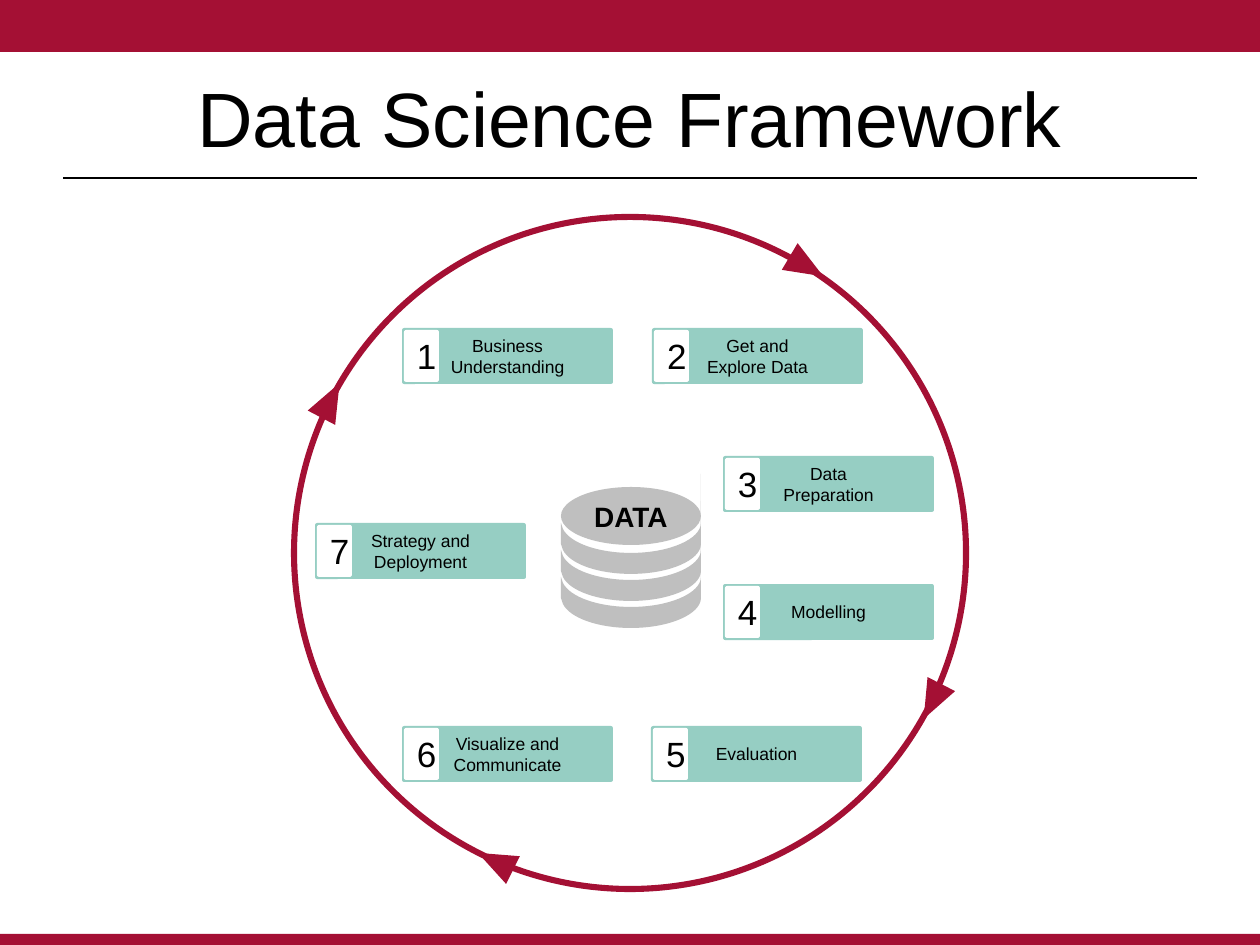
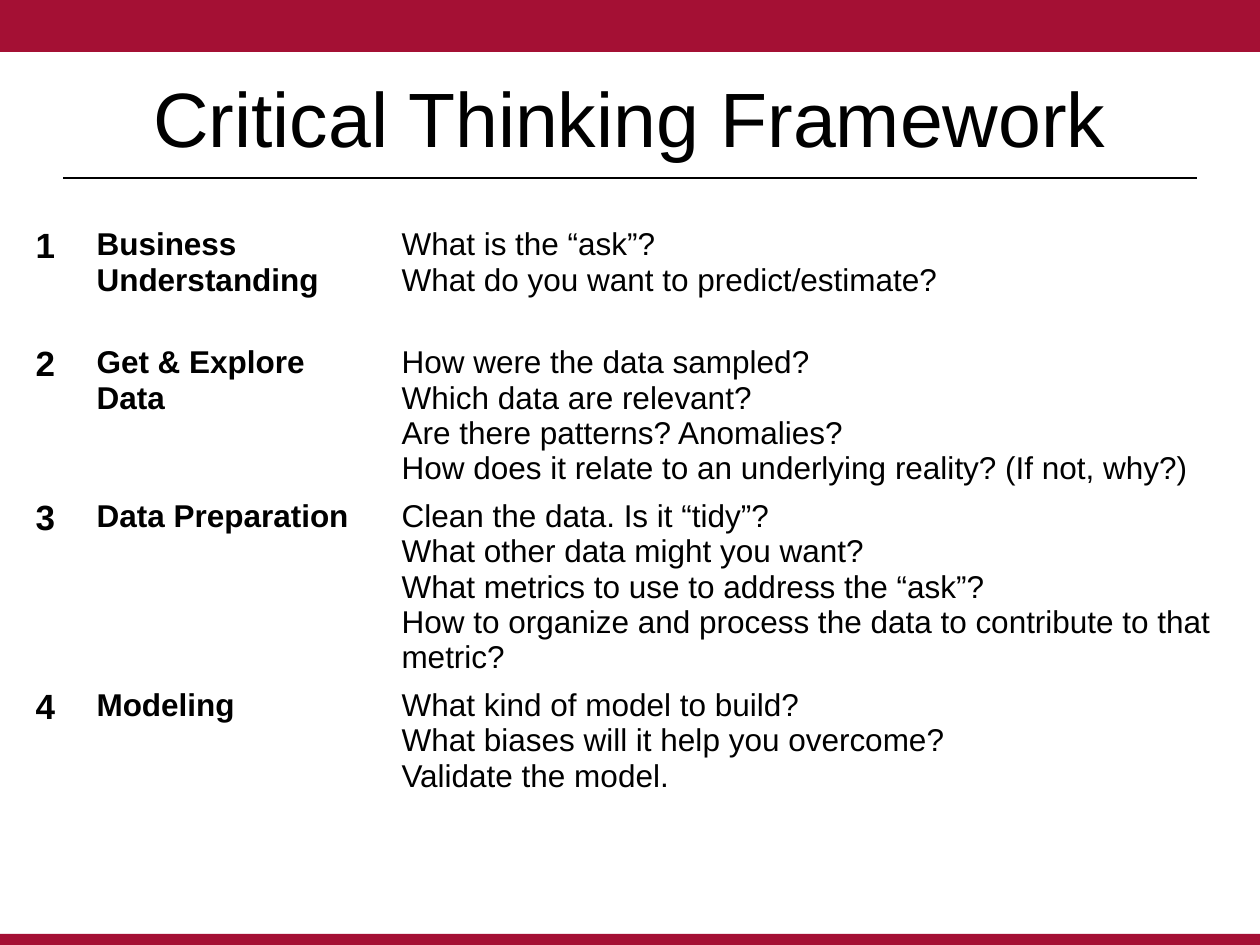
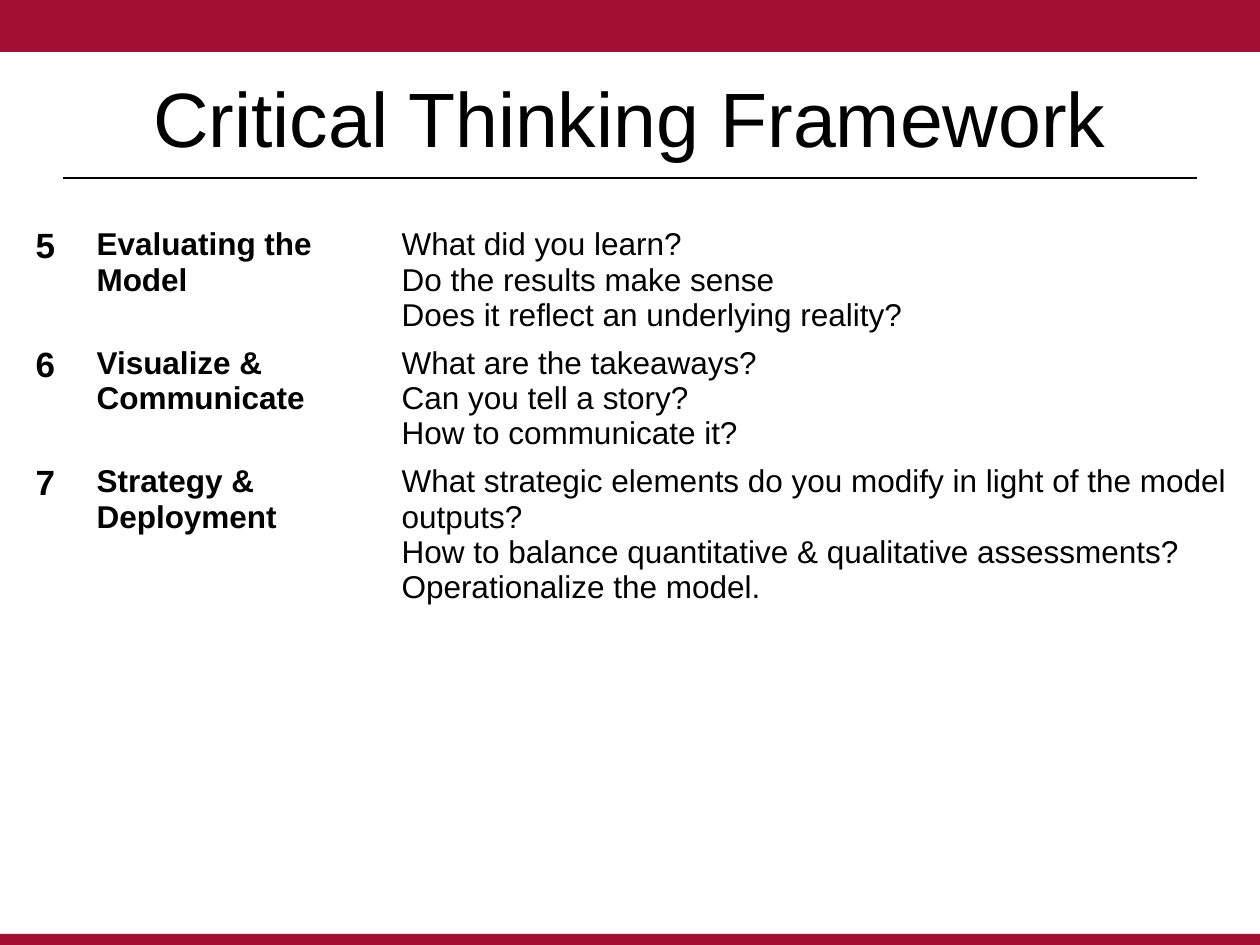
from lxml.etree import SubElement
from pptx import Presentation
from pptx.dml.color import RGBColor as RGB
from pptx.enum.shapes import MSO_CONNECTOR as LINK, MSO_SHAPE as FORM
from pptx.enum.text import MSO_ANCHOR as ANCHOR, PP_ALIGN as ALIGN
from pptx.oxml.ns import qn
from pptx.util import Pt

UNIT = 914400 / 126  # EMU in one px
WIDE, HIGH = 1260, 945
FONT = "Arial"
HUES = {"crimson": "A41034", "black": "000000", "white": "FFFFFF",
        "teal": "96CEC3", "grey": "BFBFBF"}

# Cards: left, top, label
STEPS = [
    (402, 328, "Business\vUnderstanding"),
    (652, 328, "Get and\vExplore Data"),
    (723, 456, "Data\vPreparation"),
    (723, 584, "Modelling"),
    (651, 726, "Evaluation"),
    (402, 726, "Visualize and\vCommunicate"),
    (315, 523, "Strategy and Deployment"),
]
# Arrowheads on the ring: left, top, turn in degrees
HEADS = [(791, 247, 120.6), (917, 682, 207), (480, 842, 296.2), (315, 381, 27.6)]

# Outline of a curved slice: each entry is a line (1 point) or a curve (3)
SLICE = [
    [(140, 70)],
    [(140, 86), (109, 100), (70, 100)],
    [(37, 100), (9, 90), (2, 76)],
    [(0, 70)],
    [(0, 49)],
    [(2, 55)],
    [(9, 69), (37, 79), (70, 79)],
    [(109, 79), (140, 65), (140, 49)],
]

# Stage and its questions, one list for each slide
ASKS = [
    [
        ("Business Understanding",
         ["What is the “ask”?",
          "What do you want to predict/estimate?"]),
        ("Get & Explore Data",
         ["How were the data sampled?",
          "Which data are relevant?",
          "Are there patterns? Anomalies?",
          "How does it relate to an underlying reality? (If not, why?)"]),
        ("Data Preparation",
         ["Clean the data. Is it “tidy”?",
          "What other data might you want?",
          "What metrics to use to address the “ask”?",
          "How to organize and process the data to contribute to that metric?"]),
        ("Modeling",
         ["What kind of model to build?",
          "What biases will it help you overcome?",
          "Validate the model."]),
    ],
    [
        ("Evaluating the Model",
         ["What did you learn?",
          "Do the results make sense",
          "Does it reflect an underlying reality?"]),
        ("Visualize & Communicate",
         ["What are the takeaways?",
          "Can you tell a story?",
          "How to communicate it?"]),
        ("Strategy & Deployment",
         ["What strategic elements do you modify in light of the model outputs?",
          "How to balance quantitative & qualitative assessments?",
          "Operationalize the model."]),
    ],
]


def emu(*vals):
    return [round(val * UNIT) for val in vals]


def hue(name):
    return RGB.from_string(HUES[name])


class Deck:
    def __init__(self):
        self.prs = Presentation()
        self.prs.slide_width, self.prs.slide_height = emu(WIDE, HIGH)
        self.base = self.prs.slide_layouts[5]
        self.slide = self.home = None

    def page(self, title):
        """Start a slide and set its title."""
        self.slide = self.prs.slides.add_slide(self.base)
        self.home = self.slide.shapes
        if len(self.prs.slides) == 1:
            self.frame()
        head = self.slide.shapes.title
        head.left, head.top, head.width, head.height = emu(63, 38, 1134, 158)
        self.text(head.text_frame, title, 44, align=ALIGN.CENTER)

    def frame(self):
        """Move the bands and the rule to the layout all slides share."""
        parts = [
            self.shape(FORM.RECTANGLE, 0, 0, WIDE, 52, "crimson"),
            self.shape(FORM.RECTANGLE, 0, 934, WIDE, 11, "crimson"),
            self.rule(63, 178, 1197),
        ]
        for part in parts:
            self.base.shapes._spTree.append(part._element)

    def group(self):
        """Put the next shapes in a new group."""
        self.home = self.slide.shapes.add_group_shape().shapes

    def text(self, frame, words, size, bold=False, align=ALIGN.LEFT):
        frame.text = words
        frame.word_wrap = True
        if align == ALIGN.CENTER:
            frame.vertical_anchor = ANCHOR.MIDDLE
        for para in frame.paragraphs:
            para.alignment = align
            for run in para.runs:
                font = run.font
                font.name, font.size, font.bold = FONT, Pt(size), bold
                font.color.rgb = hue("black")

    def paint(self, item, fill=None, line=None, width=1):
        item.shadow.inherit = False
        if fill:
            item.fill.solid()
            item.fill.fore_color.rgb = hue(fill)
        else:
            item.fill.background()
        if line:
            item.line.color.rgb = hue(line)
            item.line.width = Pt(width)
        else:
            item.line.fill.background()

    def shape(self, form, x, y, w, h, fill=None, line=None, width=1, round_by=None):
        item = self.home.add_shape(form, *emu(x, y, w, h))
        if round_by is not None:
            item.adjustments[0] = round_by
        self.paint(item, fill, line, width)
        return item

    def rule(self, x, y, end):
        line = self.home.add_connector(LINK.STRAIGHT, *emu(x, y, end, y))
        line.line.color.rgb = hue("black")
        line.line.width = Pt(1.25)
        SubElement(line._element.spPr, qn("a:effectLst"))
        return line

    def layer(self, x, y):
        """Draw one curved slice of the data store."""
        pen = self.home.build_freeform(*emu(x + 140, y))
        pen.add_line_segments(
            [emu(x + px, y + py) for part in SLICE for px, py in part], close=True)
        item = pen.convert_to_shape()
        self.paint(item, "grey")
        # Merge each run of three lines that stands for a curve
        lines = iter(list(item._element.iter(qn("a:lnTo"))))
        for part in SLICE:
            first, *rest = [next(lines) for _ in part]
            if rest:
                first.tag = qn("a:cubicBezTo")
                for line in rest:
                    first.append(line[0])
                    line.getparent().remove(line)

    def card(self, num, x, y, label):
        self.group()
        body = self.shape(FORM.ROUNDED_RECTANGLE, x, y, 211, 56, "teal", round_by=0.04)
        self.text(body.text_frame, label, 10, align=ALIGN.CENTER)
        badge = self.shape(FORM.ROUNDED_RECTANGLE, x + 2, y + 2, 35, 52, "white",
                           round_by=0.065)
        self.text(badge.text_frame, str(num), 20, align=ALIGN.CENTER)

    def table(self, rows, first):
        """Fill a plain table, numbering its rows from first."""
        cols, tall = (61, 305, 851), 118
        frame = self.home.add_table(
            len(rows), len(cols), *emu(23, 221, sum(cols), tall * len(rows)))
        grid = frame.table
        grid.first_row = grid.horz_banding = False
        for col, wide in zip(grid.columns, emu(*cols)):
            col.width = wide
        for num, (row, (stage, asks)) in enumerate(zip(grid.rows, rows), first):
            row.height = emu(tall)[0]
            parts = [(str(num), 20, True), (stage, 18, True), ("\n".join(asks), 18)]
            for cell, part in zip(row.cells, parts):
                cell.fill.background()
                self.text(cell.text_frame, *part)


def main():
    deck = Deck()

    # Data store
    deck.page("Data Science Framework")
    deck.group()
    for step in range(3):
        deck.layer(561, 528 - 27 * step)
    disk = deck.shape(FORM.OVAL, 561, 487, 140, 58, "grey")
    deck.text(disk.text_frame, "DATA", 16, True, ALIGN.CENTER)

    # Ring with arrowheads, then the cards
    deck.home = deck.slide.shapes
    deck.shape(FORM.OVAL, 294, 217, 672, 672, line="crimson", width=3.5)
    for x, y, turn in HEADS:
        head = deck.shape(FORM.ISOSCELES_TRIANGLE, x, y, 31, 39, "crimson")
        head.rotation = turn
    for num, step in enumerate(STEPS, 1):
        deck.card(num, *step)

    # Questions for each stage
    first = 1
    for rows in ASKS:
        deck.page("Critical Thinking Framework")
        deck.table(rows, first)
        first += len(rows)

    deck.prs.save("out.pptx")


if __name__ == "__main__":
    main()
